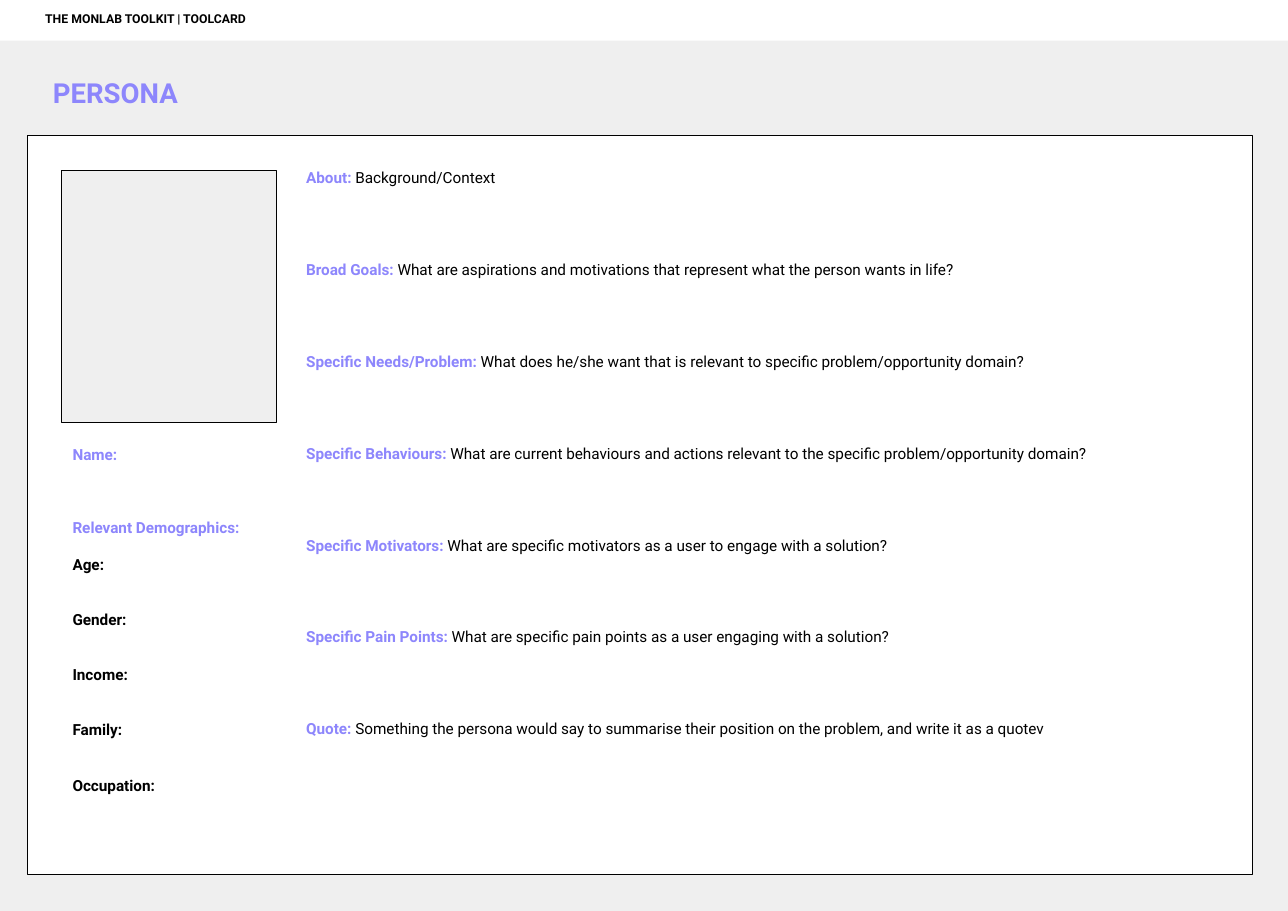
from pptx import Presentation
from pptx import util as u
from pptx.dml import color
from pptx.enum import shapes, text

VIOLET, BLACK, WHITE, GREY = "8D86FC", "000000", "FFFFFF", "EFEFEF"

QUESTIONS = [
    ("About:", "Background/Context"),
    ("Broad Goals:", "What are aspirations and motivations that represent what the person wants in life?"),
    ("Specific Needs/Problem:", "What does he/she want that is relevant to specific problem/opportunity domain?"),
    ("Specific Behaviours:", "What are current behaviours and actions relevant to the specific problem/opportunity domain?"),
    ("Specific Motivators:", "What are specific motivators as a user to engage with a solution?"),
    ("Specific Pain Points:", "What are specific pain points as a user engaging with a solution?"),
    ("Quote:", "Something the persona would say to summarise their position on the problem, and write it as a quotev"),
]
PROFILE = [
    ("Name:", VIOLET, 0),
    ("Relevant Demographics:", VIOLET, 36),
    ("Age:", BLACK, 12),
    ("Gender:", BLACK, 24),
    ("Income:", BLACK, 24),
    ("Family:", BLACK, 24),
    ("Occupation:", BLACK, 24),
]


def rgb(value):
    return color.RGBColor.from_string(value)


def write(para, words, size=10, ink=BLACK, bold=False):
    span = para.add_run()
    span.text = words
    span.font.name = "Roboto"
    span.font.size = u.Pt(size)
    span.font.bold = bold
    span.font.color.rgb = rgb(ink)


class ToolCard:
    """Draws styled elements on one slide, placed in percent of its size."""

    def __init__(self, deck):
        self.deck = deck
        self.page = deck.slides.add_slide(deck.slide_layouts[6])

    def place(self, left, top, width, height):
        across, down = self.deck.slide_width / 100, self.deck.slide_height / 100
        return [round(n) for n in (left * across, top * down, width * across, height * down)]

    def panel(self, area, fill, outlined=False):
        box = self.page.shapes.add_shape(shapes.MSO_SHAPE.RECTANGLE, *self.place(*area))
        box.shadow.inherit = False
        box.fill.solid()
        box.fill.fore_color.rgb = rgb(fill)
        if outlined:
            box.line.color.rgb = rgb(BLACK)
            box.line.width = u.Pt(0.75)
        else:
            box.line.fill.background()
        return box

    def text_box(self, area):
        return self.page.shapes.add_textbox(*self.place(*area))

    def paragraphs(self, box, gaps, indent=0):
        frame = box.text_frame
        frame.word_wrap = True
        frame.vertical_anchor = text.MSO_ANCHOR.TOP
        frame.margin_left = u.Inches(0.1 + indent)
        frame.margin_right = frame.margin_top = frame.margin_bottom = u.Inches(0.1)
        for index, gap in enumerate(gaps):
            para = frame.add_paragraph() if index else frame.paragraphs[0]
            para.alignment = text.PP_ALIGN.LEFT
            para.space_before = u.Pt(gap)
            yield para

    def heading(self, box, words, indent, **style):
        for para in self.paragraphs(box, [0], indent):
            write(para, words, bold=True, **style)

    def questions(self, area, rows, gap):
        gaps = [0] + [gap] * (len(rows) - 1)
        for para, (label, prompt) in zip(self.paragraphs(self.text_box(area), gaps), rows):
            write(para, label, ink=VIOLET, bold=True)
            write(para, " " + prompt)

    def profile(self, area, rows):
        gaps = [gap for _, _, gap in rows]
        for para, (label, ink, _) in zip(self.paragraphs(self.text_box(area), gaps), rows):
            write(para, label, ink=ink, bold=True)


def main():
    deck = Presentation()
    deck.slide_width, deck.slide_height = u.Inches(11.69), u.Inches(8.27)
    card = ToolCard(deck)
    card.panel((0, 0, 100, 100), GREY)
    card.panel((2.14, 14.87, 95.12, 81.14), WHITE, outlined=True)
    card.heading(card.text_box((0, 7.13, 56.8, 6.17)), "PERSONA", 0.38, size=18, ink=VIOLET)
    card.panel((4.79, 18.74, 16.68, 27.69), GREY, outlined=True)
    card.questions((22.93, 17.29, 72.28, 63.24), QUESTIONS, 48)
    card.profile((4.79, 47.64, 16.68, 12.21), PROFILE)
    header = card.panel((0, 0, 100, 4.47), WHITE)
    card.heading(header, "THE MONLAB TOOLKIT | TOOLCARD", 0.31, size=8)
    deck.save("out.pptx")


if __name__ == "__main__":
    main()
